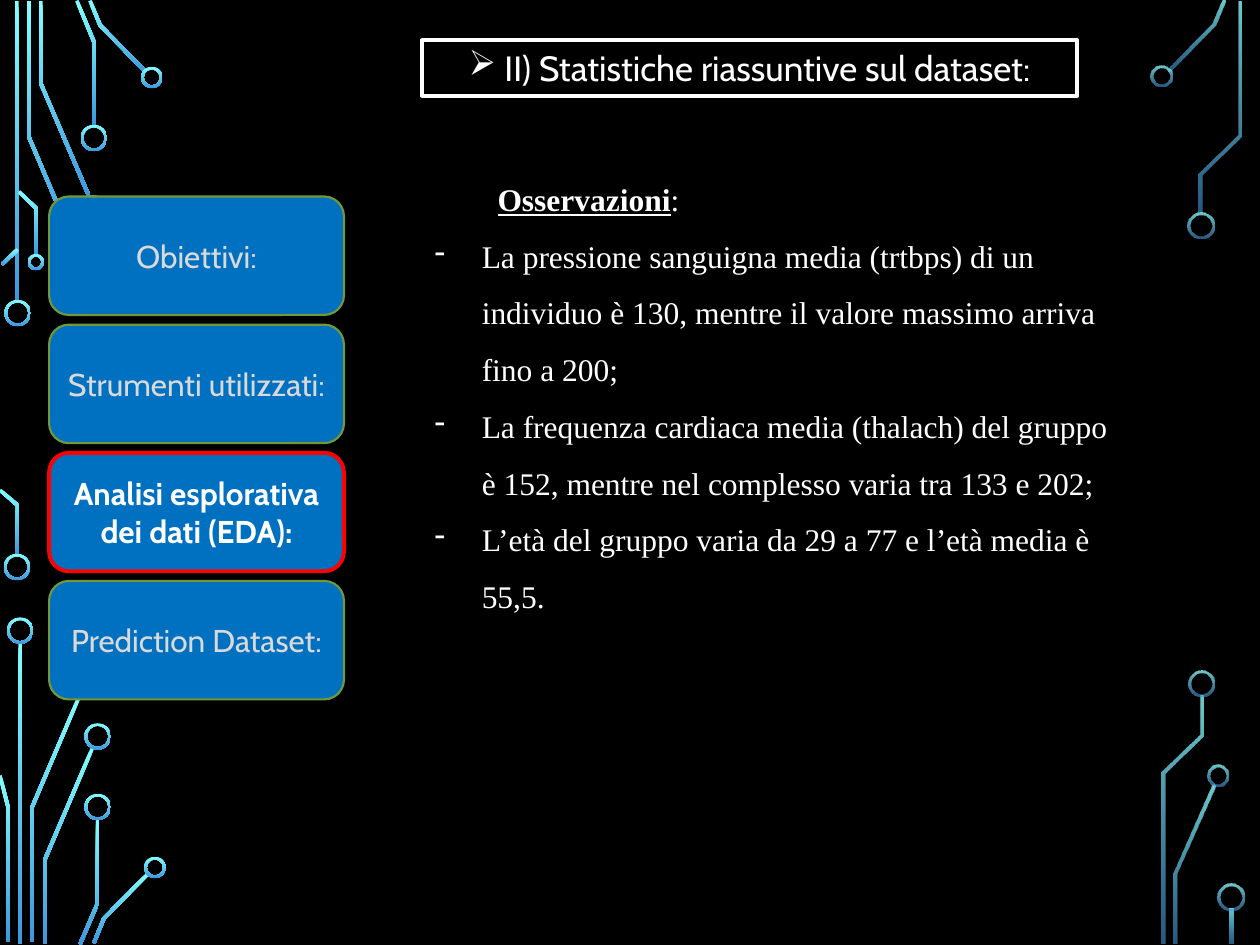
from dataclasses import dataclass
from itertools import pairwise

from lxml.etree import SubElement
from pptx import Presentation
from pptx.dml.color import RGBColor
from pptx.enum.shapes import MSO_SHAPE
from pptx.enum.text import MSO_ANCHOR, MSO_AUTO_SIZE, PP_ALIGN
from pptx.oxml.ns import qn
from pptx.util import Inches, Pt


@dataclass(frozen=True)
class Theme:
    background = RGBColor(0x00, 0x00, 0x00)
    text = RGBColor(0xFF, 0xFF, 0xFF)
    muted_text = RGBColor(0xD9, 0xD9, 0xD9)
    button = RGBColor(0x00, 0x70, 0xC0)
    button_border = RGBColor(0x72, 0x98, 0x38)
    active_border = RGBColor(0xFF, 0x00, 0x00)
    circuit = (RGBColor(0x82, 0xFF, 0xFF), RGBColor(0x3D, 0x97, 0xDE))
    heading_font = "Cabin"
    body_font = "Times New Roman"
    title_size = Pt(20)
    text_size = Pt(18)
    thin_line = Pt(1.25)
    thick_line = Pt(2.25)


theme = Theme()
presentation = Presentation()
presentation.slide_width = Inches(10)
presentation.slide_height = Inches(7.5)
slide = presentation.slides.add_slide(presentation.slide_layouts[6])
slide.background.fill.solid()
slide.background.fill.fore_color.rgb = theme.background

# Every position below is counted in cells of a grid of 100 columns by 75 rows.
COLUMN = presentation.slide_width / 100
ROW = presentation.slide_height / 75


def paint_circuit(shape, opacities):
    """Give a circuit part its vertical gradient, with one opacity per stop in percent."""
    shape.shadow.inherit = False
    shape.line.fill.background()
    shape.fill.gradient()
    shape.fill.gradient_angle = 270
    for stop, color, position in zip(shape.fill.gradient_stops, theme.circuit, (0, 1)):
        stop.color.rgb = color
        stop.position = position
    for color, opacity in zip(shape._element.iter(qn("a:srgbClr")), opacities):
        if opacity < 100:
            SubElement(color, qn("a:alpha"), val=str(opacity * 1000))


def ribbon_outline(points, width):
    """Return the outline of a mitred band of the given width along the points."""
    centers = [complex(x, y) for x, y in points]
    normals = [1j * (b - a) / abs(b - a) for a, b in pairwise(centers)]
    offsets = [
        (before + after) / (1 + (before * after.conjugate()).real) * width / 2
        for before, after in zip(normals[:1] + normals, normals + normals[-1:])
    ]
    left = [center + offset for center, offset in zip(centers, offsets)]
    right = [center - offset for center, offset in zip(centers, offsets)]
    return [(point.real * COLUMN, point.imag * ROW) for point in left + right[::-1]]


# Circuit decoration: traces as centre lines, rings as (centre x, centre y, diameter)
TRACE_WIDTH = 0.28
RING_WIDTH = 0.21
left_traces = [
    [(1.35, 0.1), (1.35, 23.9)],
    [(2.3, 0.1), (2.3, 10.9), (6.1, 19.85)],
    [(3.25, 0.1), (3.25, 6.65), (7.1, 15.65)],
    [(6.1, 0.05), (7.45, 3.3), (7.45, 10)],
    [(7.15, 0.05), (7.95, 2), (11.55, 5.7)],
    [(0.15, 21), (1.4, 19.8)],
    [(0, 38.9), (1.4, 40.1), (1.4, 44.1)],
    [(1.5, 15.2), (2.9, 16.55), (2.9, 20.3)],
    [(1.6, 51), (1.6, 74.9)],
    [(6.35, 55.15), (2.55, 64.05), (2.55, 74.8)],
    [(0, 61.55), (0.65, 64.1), (0.65, 74.8)],
    [(7.35, 59.35), (3.55, 68.25), (3.55, 74.9)],
    [(7.75, 65), (7.75, 71.7), (6.35, 74.95)],
    [(11.8, 69.3), (8.25, 72.9), (7.45, 74.85)],
]
left_rings = [
    (1.4, 24.85, 2.1), (1.35, 45, 2.1), (7.45, 16.55, 2.1), (7.45, 10.95, 2.1),
    (12.05, 6.15, 1.7), (2.85, 20.8, 1.3), (1.6, 50.05, 2.1), (7.75, 58.45, 2.1),
    (7.75, 64.05, 2.1), (12.3, 68.85, 1.7),
]
right_traces = [
    [(9.71 * 10, 0.05), (96.3, 1.95), (92.75, 5.55)],
    [(95.25, 16.9), (95.25, 13.85), (98.35, 10.75), (98.35, 0.1)],
    [(96.3, 62.35), (93.3, 69.35), (93.3, 74.9)],
    [(95.35, 55.2), (95.35, 58.35), (92.35, 61.35), (92.35, 74.9)],
    [(97.75, 72.1), (97.75, 74.9)],
]
right_rings = [
    (92.2, 6.05, 1.7), (95.3, 17.9, 2.1), (96.65, 61.55, 1.7),
    (95.35, 54.25, 2.1), (97.7, 71.2, 2.1),
]
for traces, rings, opacities in [
    (left_traces, left_rings, (100, 100)),
    (right_traces, right_rings, (80, 60)),
]:
    for trace in traces:
        start, *rest = ribbon_outline(trace, TRACE_WIDTH)
        builder = slide.shapes.build_freeform(*start)
        builder.add_line_segments(rest, close=True)
        paint_circuit(builder.convert_to_shape(), opacities)
    for x, y, diameter in rings:
        ring = slide.shapes.add_shape(
            MSO_SHAPE.DONUT,
            round((x - diameter / 2) * COLUMN), round((y - diameter / 2) * ROW),
            round(diameter * COLUMN), round(diameter * ROW),
        )
        ring.adjustments[0] = RING_WIDTH / diameter
        paint_circuit(ring, opacities)

# Menu
MENU_TOP, MENU_STEP = 15.6, 10.17
ACTIVE_TOPIC = 2
topics = [
    "Obiettivi:",
    "Strumenti utilizzati:",
    "Analisi esplorativa dei dati (EDA):",
    "Prediction Dataset:",
]
for index, topic in enumerate(topics):
    active = index == ACTIVE_TOPIC
    button = slide.shapes.add_shape(
        MSO_SHAPE.ROUNDED_RECTANGLE,
        round(3.9 * COLUMN), round((MENU_TOP + index * MENU_STEP) * ROW),
        round(23.4 * COLUMN), round(9.4 * ROW),
    )
    button.shadow.inherit = False
    button.fill.solid()
    button.fill.fore_color.rgb = theme.button
    button.line.color.rgb = theme.active_border if active else theme.button_border
    button.line.width = theme.thick_line if active else theme.thin_line
    button.text_frame.word_wrap = True
    button.text_frame.vertical_anchor = MSO_ANCHOR.MIDDLE
    paragraph = button.text_frame.paragraphs[0]
    paragraph.text = topic
    paragraph.alignment = PP_ALIGN.CENTER
    paragraph.font.name = theme.heading_font
    paragraph.font.size = theme.text_size
    paragraph.font.bold = active
    paragraph.font.color.rgb = theme.text if active else theme.muted_text

# Title
title = slide.shapes.add_textbox(
    round(33.5 * COLUMN), round(3.2 * ROW), round(52 * COLUMN), round(4.4 * ROW)
)
title.line.color.rgb = theme.text
title.line.width = theme.thick_line
title.text_frame.word_wrap = True
title.text_frame.auto_size = MSO_AUTO_SIZE.SHAPE_TO_FIT_TEXT
title_paragraph = title.text_frame.paragraphs[0]
title_paragraph.text = " II) Statistiche riassuntive sul dataset:"
title_paragraph.alignment = PP_ALIGN.CENTER
title_paragraph.font.name = theme.heading_font
title_paragraph.font.size = theme.title_size
title_paragraph.font.color.rgb = theme.text

# Observations
observations = slide.shapes.add_textbox(
    round(33.5 * COLUMN), round(12.3 * ROW), round(55.9 * COLUMN), round(36.9 * ROW)
)
frame = observations.text_frame
frame.word_wrap = True
frame.auto_size = MSO_AUTO_SIZE.SHAPE_TO_FIT_TEXT
heading = frame.paragraphs[0]
heading_run = heading.add_run()
heading_run.text = "Osservazioni"
heading_run.font.bold = True
heading_run.font.underline = True
heading.add_run().text = ":"
for text in [
    "La pressione sanguigna media (trtbps) di un individuo è 130, mentre il valore massimo arriva fino a 200;",
    "La frequenza cardiaca media (thalach) del gruppo è 152, mentre nel complesso varia tra 133 e 202;",
    "L’età del gruppo varia da 29 a 77 e l’età media è 55,5.",
]:
    frame.add_paragraph().text = text
for paragraph in frame.paragraphs:
    paragraph.line_spacing = 1.5
    paragraph.font.name = theme.body_font
    paragraph.font.size = theme.text_size
    paragraph.font.color.rgb = theme.text
frame.paragraphs[-1].space_after = Pt(8)

# Indents and bullets: (paragraph, left margin, first line, bullet)
hanging = 3.75
for paragraph, margin, first_line, bullet in [
    (title_paragraph, 0, 0, "➢"),
    (heading, 5, 0, None),
    *((item, hanging, -hanging, "-") for item in frame.paragraphs[1:]),
]:
    properties = paragraph._p.get_or_add_pPr()
    properties.set("marL", str(round(margin * COLUMN)))
    properties.set("indent", str(round(first_line * COLUMN)))
    if bullet:
        mark = SubElement(properties, qn("a:buChar"), char=bullet)
        properties.find(qn("a:defRPr")).addprevious(mark)

presentation.save("out.pptx")
